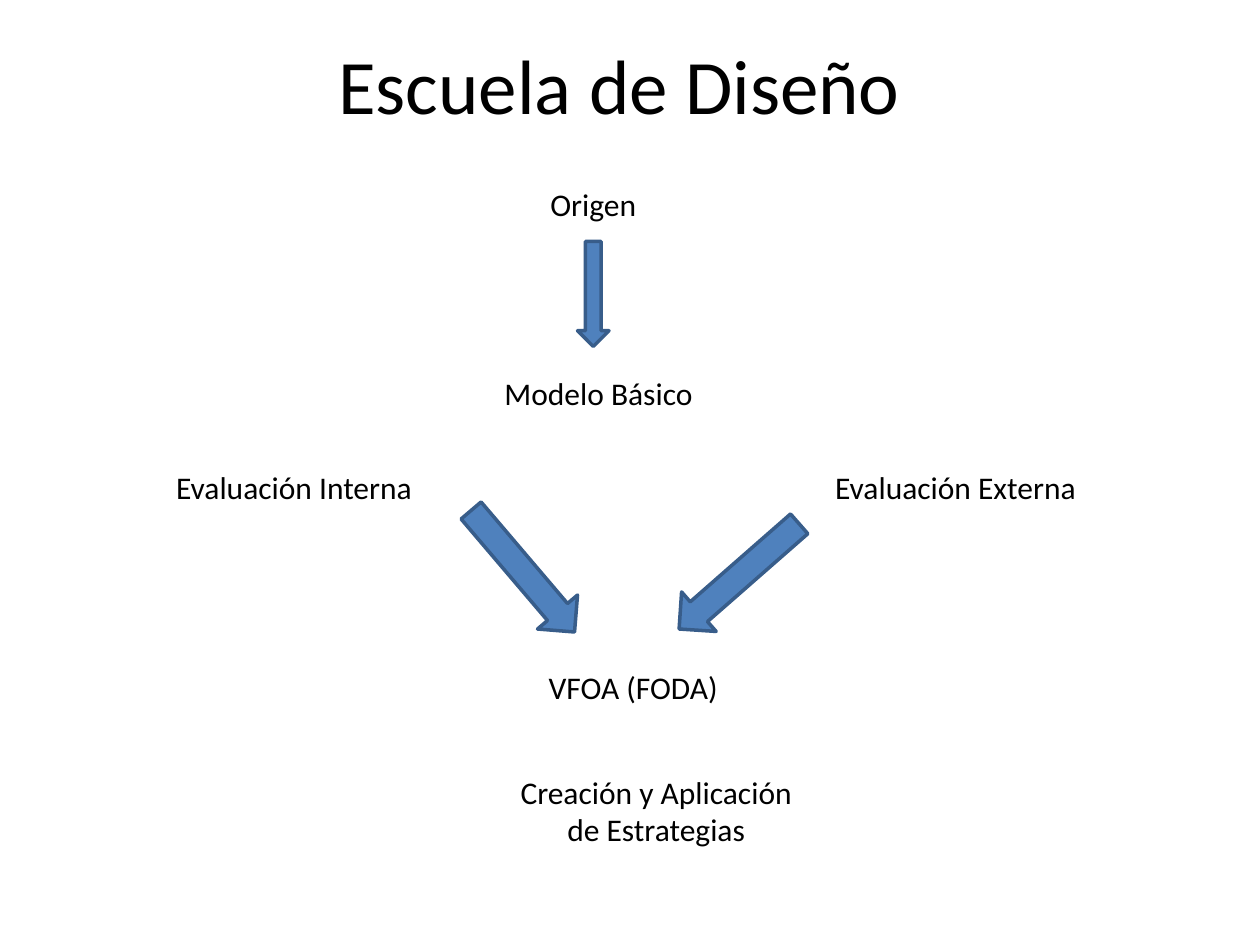
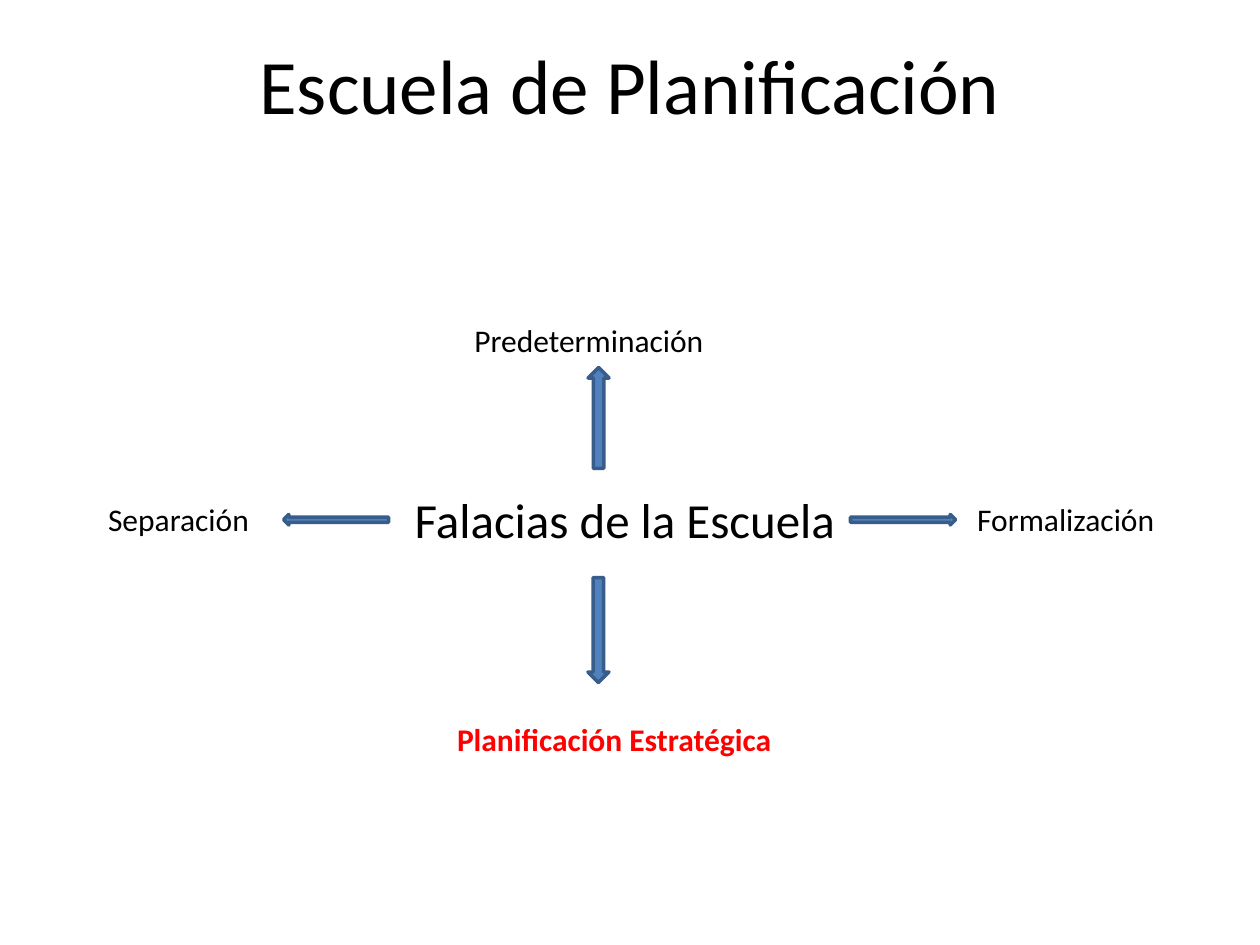
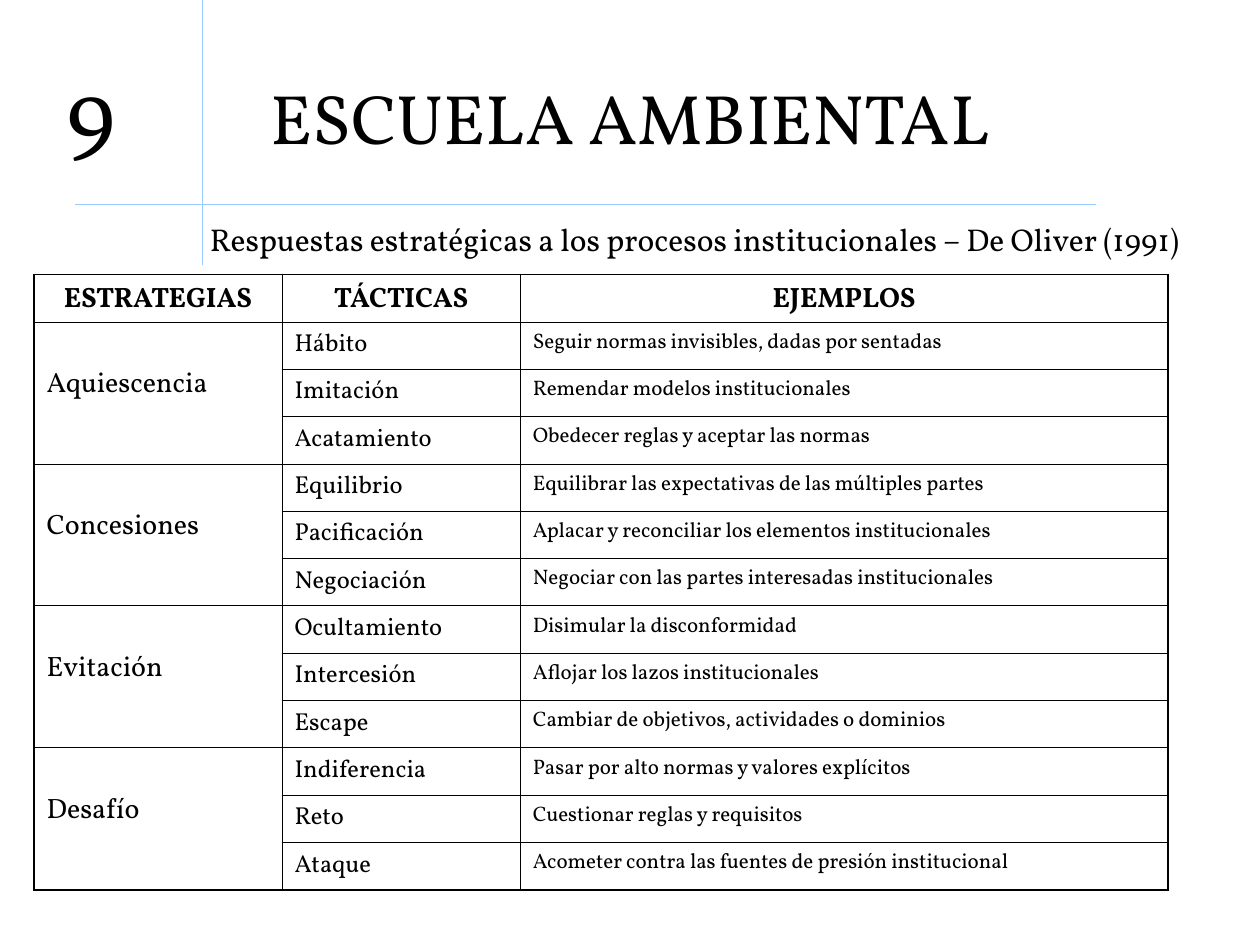
from lxml.etree import SubElement
from pptx import Presentation
from pptx.dml.color import RGBColor
from pptx.enum.shapes import MSO_CONNECTOR, MSO_SHAPE
from pptx.enum.text import MSO_ANCHOR, PP_ALIGN
from pptx.oxml.ns import qn
from pptx.util import Inches, Pt

# Shared grid (120 columns by 90 rows), colours and fonts
GRID = Inches(1) / 12
COLUMNS, ROWS = 120, 90
LINE_HEIGHT = 4.8
BLACK, RED = "000000", "FF0000"
ARROW_FILL, ARROW_LINE, RULE = "4F81BD", "385D8A", "99CCFF"
SANS, SERIF = "Calibri", "Vollkorn"
color = RGBColor.from_string


def add_text(slide, text, left, top, width, height=LINE_HEIGHT, size=18, font=SANS,
             fill=BLACK, bold=False, align=PP_ALIGN.CENTER, anchor=MSO_ANCHOR.TOP):
    box = slide.shapes.add_textbox(*[round(n * GRID) for n in (left, top, width, height)])
    frame = box.text_frame
    frame.word_wrap = True
    frame.vertical_anchor = anchor
    frame.text = text
    paragraph = frame.paragraphs[0]
    paragraph.alignment = align
    run_font = paragraph.runs[0].font
    run_font.name, run_font.size, run_font.bold = font, Pt(size), bold
    run_font.color.rgb = color(fill)


def add_arrow(slide, preset, left, top, width, height, rotation=0):
    arrow = slide.shapes.add_shape(preset, *[round(n * GRID) for n in (left, top, width, height)])
    arrow.rotation = rotation
    arrow.shadow.inherit = False
    arrow.fill.solid()
    arrow.fill.fore_color.rgb = color(ARROW_FILL)
    arrow.line.color.rgb = color(ARROW_LINE)
    arrow.line.width = Pt(2)


presentation = Presentation()
presentation.slide_width = round(COLUMNS * GRID)
presentation.slide_height = round(ROWS * GRID)
design, planning, environment = [
    presentation.slides.add_slide(presentation.slide_layouts[6]) for _ in range(3)]

# Titles
for slide, title, left, top, width, height, size, font in [
    (design, "Escuela de Diseño", 8, 3, 102, 10, 44, SANS),
    (planning, "Escuela de Planificación", 9, 3, 102, 10, 44, SANS),
    (environment, "ESCUELA AMBIENTAL", 6, 3.6, 108, 15, 40, SERIF),
]:
    add_text(slide, title, left, top, width, height, size, font, anchor=MSO_ANCHOR.MIDDLE)

# Design school: steps and arrows
for step, left, top, width, lines in [
    ("Origen", 42, 17, 29, 1),
    ("Modelo Básico", 43, 35, 28, 1),
    ("Evaluación Interna", 12, 44, 32, 1),
    ("Evaluación Externa", 75, 44, 32, 1),
    ("VFOA (FODA)", 50.3, 63, 20, 1),
    ("Creación y Aplicación de Estrategias", 48, 73, 29, 2),
]:
    add_text(design, step, left, top, width, 1.2 + 3.6 * lines)
add_arrow(design, MSO_SHAPE.DOWN_ARROW, 55, 23, 3, 10)
add_arrow(design, MSO_SHAPE.DOWN_ARROW, 47.3, 46.8, 5, 15.2, 319.6)
add_arrow(design, MSO_SHAPE.DOWN_ARROW, 67.9, 47.3, 5, 15.2, 48.8)

# Planning school: fallacies around the centre
add_text(planning, "Falacias de la Escuela", 28, 46, 63, 6.8, size=28)
add_text(planning, "Predeterminación", 44, 30, 31, align=PP_ALIGN.LEFT)
add_text(planning, "Separación", 3, 47, 28)
add_text(planning, "Formalización", 86, 47, 31)
add_text(planning, "Planificación Estratégica", 37, 68, 43, fill=RED, bold=True)
add_arrow(planning, MSO_SHAPE.DOWN_ARROW, 56, 55, 2, 10)
add_arrow(planning, MSO_SHAPE.DOWN_ARROW, 56, 35, 2, 9.6, 180)
add_arrow(planning, MSO_SHAPE.RIGHT_ARROW, 81, 49, 10, 1)
add_arrow(planning, MSO_SHAPE.RIGHT_ARROW, 27, 49, 10, 1, 180)

# Environmental school: crossing rules, number and subtitle
for ends in [(19.3, 0, 19.3, 25.2), (104.4, 19.45, 7.1, 19.45)]:
    rule = environment.shapes.add_connector(
        MSO_CONNECTOR.STRAIGHT, *[round(n * GRID) for n in ends])
    rule.line.color.rgb = color(RULE)
    rule.line.width = Pt(0.75)
    SubElement(rule.element.spPr, qn("a:effectLst"))
add_text(environment, "9", 5.2, 4.3, 12.2, 12, 54, SERIF, align=PP_ALIGN.LEFT)
add_text(environment, "Respuestas estratégicas a los procesos institucionales – De Oliver (1991)",
         18.8, 20.4, 101.2, font=SERIF, align=PP_ALIGN.LEFT)

# Environmental school: table of strategies, tactics and examples
strategies = {
    "Aquiescencia": [
        ("Hábito", "Seguir normas invisibles, dadas por sentadas"),
        ("Imitación", "Remendar modelos institucionales"),
        ("Acatamiento", "Obedecer reglas y aceptar las normas")],
    "Concesiones": [
        ("Equilibrio", "Equilibrar las expectativas de las múltiples partes"),
        ("Pacificación", "Aplacar y reconciliar los elementos institucionales"),
        ("Negociación", "Negociar con las partes interesadas institucionales")],
    "Evitación": [
        ("Ocultamiento", "Disimular la disconformidad"),
        ("Intercesión", "Aflojar los lazos institucionales"),
        ("Escape", "Cambiar de objetivos, actividades o dominios")],
    "Desafío": [
        ("Indiferencia", "Pasar por alto normas y valores explícitos"),
        ("Reto", "Cuestionar reglas y requisitos"),
        ("Ataque", "Acometer contra las fuentes de presión institucional")],
}
table_rows = [("ESTRATEGIAS", "TÁCTICAS", "EJEMPLOS")]
for strategy, tactics in strategies.items():
    for index, (tactic, example) in enumerate(tactics):
        table_rows.append(("" if index else strategy, tactic, example))

column_widths = [23.6, 22.7, 61.7]
row_height = 4.51
row_count, column_count = len(table_rows), len(column_widths)
table = environment.shapes.add_table(
    row_count, column_count, *[round(n * GRID) for n in
                               (3.25, 26.15, sum(column_widths), row_count * row_height)]).table
table.first_row = table.horz_banding = False
for column, width in zip(table.columns, column_widths):
    column.width = round(width * GRID)
for row in table.rows:
    row.height = round(row_height * GRID)
for top in range(1, row_count, 3):
    table.cell(top, 0).merge(table.cell(top + 2, 0))
    table.cell(top, 0).margin_top = Inches(0.35)

for row, texts in enumerate(table_rows):
    for column, text in enumerate(texts):
        cell = table.cell(row, column)
        outer_edges = {
            "a:lnL": column == 0,
            "a:lnR": column == column_count - 1,
            "a:lnT": row == 0,
            "a:lnB": row + cell.span_height == row_count,
        }
        properties = cell._tc.get_or_add_tcPr()
        for edge, is_outer in outer_edges.items():
            border = SubElement(properties, qn(edge), w=str(Pt(1.08 if is_outer else 0.45)))
            SubElement(SubElement(border, qn("a:solidFill")), qn("a:srgbClr"), val=BLACK)
        cell.fill.background()
        if text:
            cell.text_frame.text = text
            paragraph = cell.text_frame.paragraphs[0]
            paragraph.alignment = PP_ALIGN.LEFT if row else PP_ALIGN.CENTER
            font = paragraph.runs[0].font
            font.name, font.bold = SERIF, row == 0
            font.size = Pt((16, 14, 12)[column] if row else 16)
            font.color.rgb = color(BLACK)

presentation.save("out.pptx")
